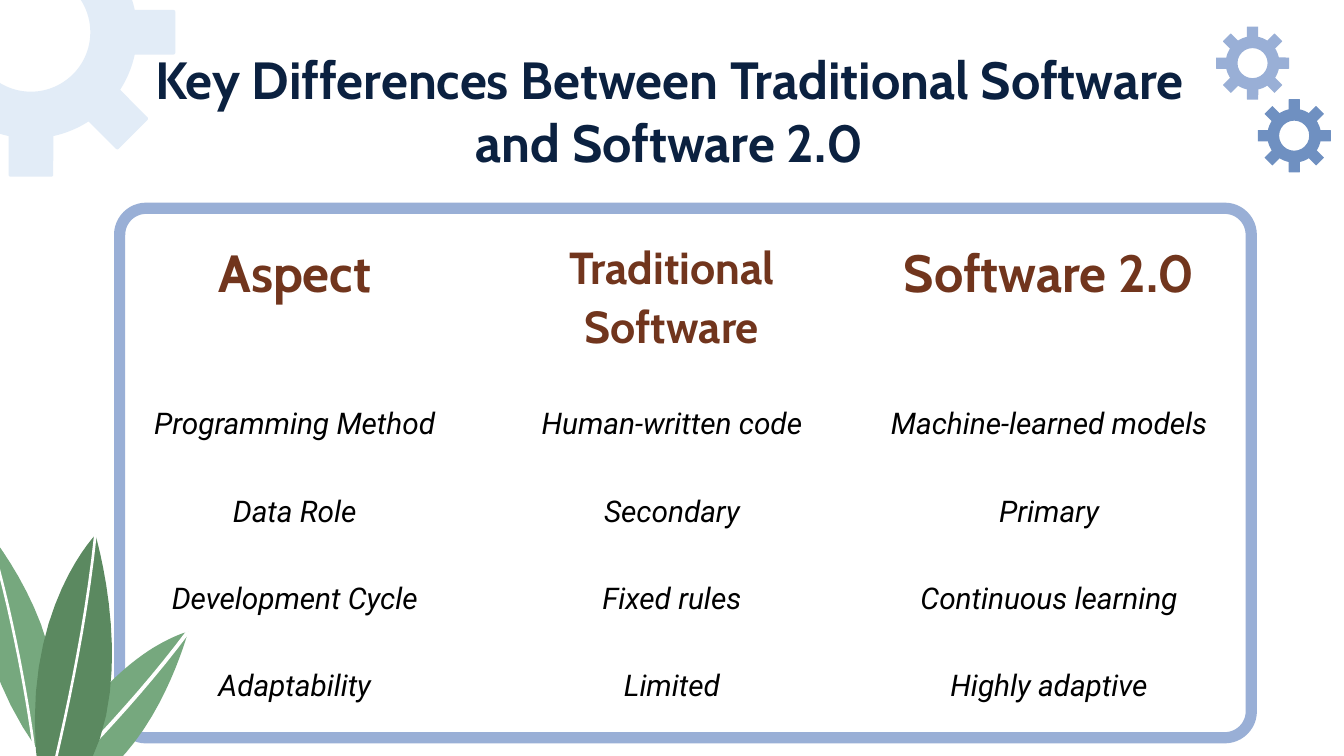
import math
from dataclasses import dataclass

import pptx
import pptx.dml.color
import pptx.enum.shapes
import pptx.enum.text
import pptx.oxml.ns
import pptx.util

Inches = pptx.util.Inches
Pt = pptx.util.Pt
MSO_SHAPE = pptx.enum.shapes.MSO_SHAPE
MSO_ANCHOR = pptx.enum.text.MSO_ANCHOR
PP_ALIGN = pptx.enum.text.PP_ALIGN


@dataclass(frozen=True)
class Theme:
    navy: str = "0B2140"
    brown: str = "71351D"
    black: str = "000000"
    white: str = "FFFFFF"
    pale_blue: str = "E2ECF7"
    light_blue: str = "99AFD6"
    mid_blue: str = "6F90C1"
    light_green: str = "76A87E"
    dark_green: str = "5B8960"
    heading_font: str = "Cabin"
    body_font: str = "Roboto"
    title_size: int = 28
    narrow_header_size: int = 24
    body_size: int = 16
    line_spacing: float = 1.07
    border_width: int = 6


THEME = Theme()
NO_STYLE = "{2D5ABB26-0587-4C30-8999-92F81FD0307C}"

ROWS = [
    ("Aspect", "Traditional Software", "Software 2.0"),
    ("Programming Method", "Human-written code", "Machine-learned models"),
    ("Data Role", "Secondary", "Primary"),
    ("Development Cycle", "Fixed rules", "Continuous learning"),
    ("Adaptability", "Limited", "Highly adaptive"),
]
HEADER_SIZES = (THEME.title_size, THEME.narrow_header_size, THEME.title_size)

LEAVES = [
    (THEME.light_green,
     [[(0.21, 0), (0.21, 0), (-0.06, 0.72), (0.58, 1.63)],
      [(0.58, 1.63), (1, 0.97), (0.21, 0), (0.21, 0)]],
     [(0.2, 0), (0.43, 0.75), (0.54, 1.59), (0.54, 1.6)], (0.02, 0)),
    (THEME.light_green,
     [[(1.41, 0.89), (1.17, 1.05), (0.81, 1.37), (0.6, 2.01)],
      [(0.6, 2.01), (0.74, 2), (0.87, 1.95), (0.98, 1.88)],
      [(0.98, 1.88), (1.49, 1.55), (1.7, 0.75), (1.7, 0.75)],
      [(1.7, 0.75), (1.7, 0.75), (1.58, 0.78), (1.41, 0.89)]],
     [(1.69, 0.74), (1.23, 1.36), (0.61, 1.95), (0.6, 1.96)], (0.02, 0.02)),
    (THEME.dark_green,
     [[(1.01, 0.03), (1.01, 0.03), (0.33, 0.73), (0.64, 2.11)],
      [(0.64, 2.11), (1.46, 1.54), (1.01, 0.03), (1.01, 0.03)]],
     [(1, 0.03), (0.9, 1), (0.62, 2.04), (0.62, 2.05)], (0.02, 0)),
]


def color(value):
    return pptx.dml.color.RGBColor.from_string(value)


def paint(shape, fill):
    shape.shadow.inherit = False
    shape.fill.solid()
    shape.fill.fore_color.rgb = color(fill)
    shape.line.fill.background()


def format_paragraph(paragraph, name, size, fill, bold=False, italic=False):
    paragraph.alignment = PP_ALIGN.CENTER
    font = paragraph.font
    font.name, font.size = name, Pt(size)
    font.bold, font.italic = bold, italic
    font.color.rgb = color(fill)


def add_square(shapes, preset, center_x, center_y, side, fill):
    shape = shapes.add_shape(
        preset, Inches(center_x - side / 2), Inches(center_y - side / 2),
        Inches(side), Inches(side))
    paint(shape, fill)
    return shape


def add_gear(slide, center_x, center_y, radius, fill, teeth=range(8)):
    shapes = slide.shapes.add_group_shape().shapes
    ring = add_square(shapes, MSO_SHAPE.DONUT, center_x, center_y, 2 * radius, fill)
    ring.adjustments[0] = 0.22
    reach = 1.15 * radius
    for tooth_index in teeth:
        angle = 45 * tooth_index
        tooth = add_square(
            shapes, MSO_SHAPE.ROUNDED_RECTANGLE,
            center_x + reach * math.cos(math.radians(angle)),
            center_y + reach * math.sin(math.radians(angle)),
            0.42 * radius, fill)
        tooth.adjustments[0] = 0.04
        tooth.rotation = angle


def curve_points(start, control_1, control_2, end, steps=16):
    points = []
    for step in range(steps + 1):
        t = step / steps
        weights = ((1 - t) ** 3, 3 * t * (1 - t) ** 2, 3 * t * t * (1 - t), t ** 3)
        controls = (start, control_1, control_2, end)
        points.append(tuple(
            sum(weight * control[axis] for weight, control in zip(weights, controls))
            for axis in (0, 1)))
    return points


def add_outline(shapes, left, top, points, fill):
    placed = [(Inches(left + x), Inches(top + y)) for x, y in points]
    builder = shapes.build_freeform(*placed[0])
    builder.add_line_segments(placed[1:], close=True)
    paint(builder.convert_to_shape(), fill)


def add_plant(slide, left, top):
    shapes = slide.shapes.add_group_shape().shapes
    for fill, outline, vein, (shift_x, shift_y) in LEAVES:
        edge = [point for curve in outline for point in curve_points(*curve)]
        add_outline(shapes, left, top, edge, fill)
        side = curve_points(*vein)
        other_side = [(x + shift_x, y + shift_y) for x, y in reversed(side)]
        add_outline(shapes, left, top, side + other_side, THEME.white)


def add_title(slide, left, top, width, height):
    title = slide.shapes.title
    title.left, title.top = Inches(left), Inches(top)
    title.width, title.height = Inches(width), Inches(height)
    frame = title.text_frame
    frame.text = "Key Differences Between Traditional Software and Software 2.0"
    frame.word_wrap = True
    frame.auto_size = pptx.enum.text.MSO_AUTO_SIZE.NONE
    frame.vertical_anchor = MSO_ANCHOR.TOP
    frame.margin_left = frame.margin_right = Inches(0.1)
    frame.margin_top = frame.margin_bottom = Inches(0.1)
    format_paragraph(frame.paragraphs[0], THEME.heading_font,
                     THEME.title_size, THEME.navy, bold=True)


def add_panel(slide, left, top, width, height):
    panel = slide.shapes.add_shape(
        MSO_SHAPE.ROUNDED_RECTANGLE,
        Inches(left), Inches(top), Inches(width), Inches(height))
    panel.adjustments[0] = 0.05
    panel.shadow.inherit = False
    panel.fill.background()
    panel.line.color.rgb = color(THEME.light_blue)
    panel.line.width = Pt(THEME.border_width)


def add_comparison_table(slide, left, top, width, header_height, row_height):
    height = header_height + row_height * (len(ROWS) - 1)
    graphic_frame = slide.shapes.add_table(
        len(ROWS), len(ROWS[0]),
        Inches(left), Inches(top), Inches(width), Inches(height))
    for style in graphic_frame.element.iter(pptx.oxml.ns.qn("a:tableStyleId")):
        style.text = NO_STYLE
    table = graphic_frame.table
    table.first_row = table.horz_banding = False
    for row_index, texts in enumerate(ROWS):
        is_header = row_index == 0
        table.rows[row_index].height = Inches(header_height if is_header else row_height)
        for column_index, text in enumerate(texts):
            cell = table.cell(row_index, column_index)
            cell.fill.background()
            cell.margin_left = cell.margin_right = Inches(0.07)
            cell.margin_top = cell.margin_bottom = 0
            cell.vertical_anchor = MSO_ANCHOR.TOP if is_header else MSO_ANCHOR.BOTTOM
            cell.text = text
            paragraph = cell.text_frame.paragraphs[0]
            paragraph.line_spacing = THEME.line_spacing
            if is_header:
                format_paragraph(paragraph, THEME.heading_font,
                                 HEADER_SIZES[column_index], THEME.brown, bold=True)
            else:
                format_paragraph(paragraph, THEME.body_font,
                                 THEME.body_size, THEME.black, italic=True)


def main():
    presentation = pptx.Presentation()
    presentation.slide_width = Inches(10)
    presentation.slide_height = presentation.slide_width * 9 // 16
    slide = presentation.slides.add_slide(presentation.slide_layouts[5])
    add_gear(slide, 0.23, 0.24, 0.79, THEME.pale_blue, teeth=range(3))
    add_gear(slide, 9.32, 0.47, 0.2, THEME.light_blue)
    add_gear(slide, 9.63, 1.01, 0.2, THEME.mid_blue)
    add_panel(slide, 0.89, 1.55, 8.42, 3.94)
    add_title(slide, 0.75, 0.25, 8.46, 0.63)
    add_plant(slide, -0.3, 3.95)
    add_comparison_table(slide, 0.79, 1.77, 8.42, 0.84, 0.65)
    presentation.save("out.pptx")


if __name__ == "__main__":
    main()
